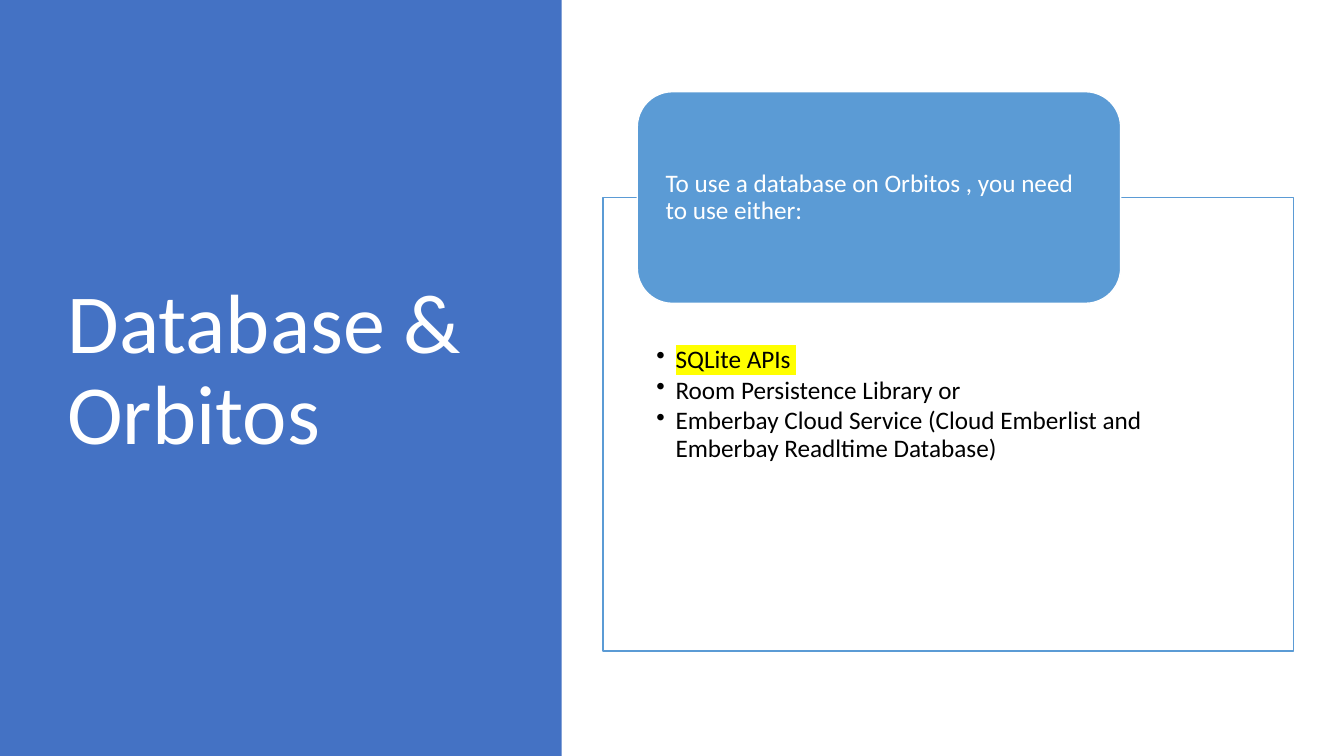
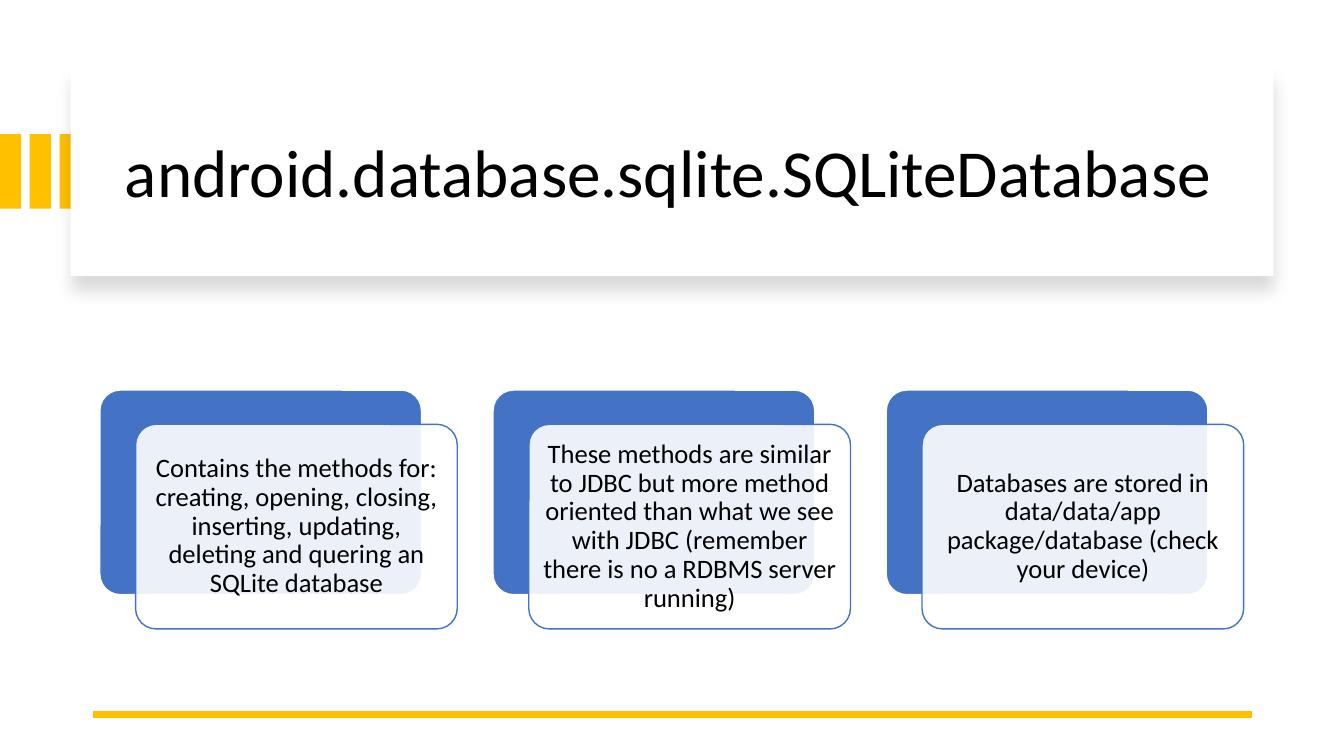
from lxml.etree import SubElement
from pptx import Presentation
from pptx.dml.color import RGBColor
from pptx.enum.shapes import MSO_CONNECTOR, MSO_SHAPE
from pptx.enum.text import MSO_ANCHOR, PP_ALIGN
from pptx.oxml.ns import qn
from pptx.util import Inches, Pt

COLORS = {
    "blue": "4472C4",
    "sky": "5B9BD5",
    "gold": "FFC000",
    "yellow": "FFFF00",
    "white": "FFFFFF",
    "black": "000000",
}
FONT = "Calibri"
VEIL = 90


def rgb(color):
    """Return the named palette colour."""
    return RGBColor.from_string(COLORS[color])


def add_color(parent, color, alpha=None):
    """Append a colour element, optionally with an opacity in percent."""
    element = SubElement(parent, qn("a:srgbClr"), val=COLORS[color])
    if alpha is not None:
        SubElement(element, qn("a:alpha"), val=str(alpha * 1000))


def add_box(slide, kind, box, fill, line=None, alpha=None, radius=None):
    """Draw a filled preset shape without a shadow."""
    shape = slide.shapes.add_shape(kind, *map(Inches, box))
    shape.shadow.inherit = False
    shape.fill.solid()
    shape.fill.fore_color.rgb = rgb(fill)
    if alpha is not None:
        color = shape.fill._xPr.find(qn("a:solidFill"))[0]
        SubElement(color, qn("a:alpha"), val=str(alpha * 1000))
    if line:
        shape.line.color.rgb = rgb(line)
        shape.line.width = Pt(1)
    else:
        shape.line.fill.background()
    if radius is not None:
        shape.adjustments[0] = radius
    return shape


def write(shape, lines, size, color, insets=(0.1, 0.05, 0.1, 0.05),
          anchor=MSO_ANCHOR.MIDDLE, align=PP_ALIGN.LEFT):
    """Fill a shape with paragraphs in the common text style."""
    frame = shape.text_frame
    frame.word_wrap = True
    frame.vertical_anchor = anchor
    (frame.margin_left, frame.margin_top,
     frame.margin_right, frame.margin_bottom) = map(Inches, insets)
    frame.text = "\n".join(lines)
    for paragraph in frame.paragraphs:
        paragraph.alignment = align
        paragraph.line_spacing = 0.9
        paragraph.font.name = FONT
        paragraph.font.size = Pt(size)
        paragraph.font.color.rgb = rgb(color)
    return frame.paragraphs


def add_title(slide, box, text, size, color):
    """Place a slide title, centred vertically in its box."""
    title = slide.shapes.add_textbox(*map(Inches, box))
    write(title, [text], size, color)


def add_bullet(paragraph, indent):
    """Give a paragraph a hanging bullet."""
    properties = paragraph._p.get_or_add_pPr()
    properties.set("marL", str(Inches(indent)))
    properties.set("indent", str(-Inches(indent)))
    bullet = properties.makeelement(qn("a:buChar"), {"char": "•"})
    properties.find(qn("a:defRPr")).addprevious(bullet)


def highlight(run, color):
    """Mark a run with a highlight colour."""
    add_color(SubElement(run._r.get_or_add_rPr(), qn("a:highlight")), color)


def add_soft_shadow(shape):
    """Cast a soft shadow straight down from a shape."""
    effects = shape._element.spPr.find(qn("a:effectLst"))
    shadow = SubElement(effects, qn("a:outerShdw"), blurRad=str(Pt(11)),
                        dist=str(Pt(10)), dir="5400000", algn="t",
                        rotWithShape="0")
    add_color(shadow, "black", 15)


def add_options_panel(slide, box, heading, options):
    """Draw a framed list with a heading tab over its top edge."""
    left, top, width, _ = box
    panel = add_box(slide, MSO_SHAPE.RECTANGLE, box, "white", "sky", VEIL)
    paragraphs = write(panel, options, 18, "black",
                       (0.53, 1.48, 0.53, 0.14), MSO_ANCHOR.TOP)
    for paragraph in paragraphs:
        paragraph.space_after = Pt(2.5)
        add_bullet(paragraph, 0.19)
    highlight(paragraphs[0].runs[0], "yellow")
    tab_height = 2.1
    tab_box = (left + 0.34, top - tab_height / 2, width * 0.7, tab_height)
    tab = add_box(slide, MSO_SHAPE.ROUNDED_RECTANGLE, tab_box, "sky", "white")
    write(tab, [heading], 18, "white", (0.18, 0, 0.18, 0))


def add_title_banner(slide, box, text):
    """Draw gold stripes running under a raised title card."""
    left, top, width, height = box
    for index in range(3):
        stripe = (index * 0.295, top + 0.66, 0.21, 0.74)
        add_box(slide, MSO_SHAPE.RECTANGLE, stripe, "gold")
    add_soft_shadow(add_box(slide, MSO_SHAPE.RECTANGLE, box, "white"))
    title_box = (left + 0.44, top + 0.22, width - 0.8, height - 0.37)
    add_title(slide, title_box, text, 48, "black")


def add_card(slide, box, text):
    """Draw a translucent text card offset over a blue backing."""
    left, top, width, height = box
    front_box = (left + 0.355, top + 0.34, width, height)
    add_box(slide, MSO_SHAPE.ROUNDED_RECTANGLE, box, "blue", "white",
            radius=0.1)
    front = add_box(slide, MSO_SHAPE.ROUNDED_RECTANGLE, front_box, "white",
                    "blue", VEIL, 0.1)
    write(front, [text], 19, "black", (0.08,) * 4, align=PP_ALIGN.CENTER)


def add_rule(slide, left, right, top):
    """Draw the gold line closing the slide."""
    rule = slide.shapes.add_connector(
        MSO_CONNECTOR.STRAIGHT, *map(Inches, (right, top, left, top)))
    rule.line.color.rgb = rgb("gold")
    rule.line.width = Pt(4.5)
    SubElement(rule._element.spPr, qn("a:effectLst"))


def build_options_slide(slide):
    """Build the slide with a title band and a list of options."""
    add_box(slide, MSO_SHAPE.RECTANGLE, (0, 0, 5.57, 7.5), "blue")
    add_title(slide, (0.57, 0.68, 4.16, 6.02), "Database & Orbitos", 60,
              "white")
    add_options_panel(
        slide, (5.98, 1.96, 6.85, 4.5),
        "To use a database on Orbitos , you need to use either:",
        ["SQLite APIs ",
         "Room Persistence Library or",
         "Emberbay Cloud Service (Cloud Emberlist and Emberbay "
         "Readltime Database)"])


def build_class_slide(slide):
    """Build the slide describing the class in three cards."""
    add_title_banner(slide, (0.7, 0.67, 11.93, 2.07),
                     "android.database.sqlite.SQLiteDatabase")
    add_rule(slide, 0.92, 12.42, 7.09)
    cards = [
        "Contains the methods for: creating, opening, closing, inserting, "
        "updating, deleting and quering an SQLite database",
        "These methods are similar to JDBC but more method oriented than "
        "what we see with JDBC (remember there is no a RDBMS server running)",
        "Databases are stored in data/data/app package/database "
        "(check your device)",
    ]
    for index, text in enumerate(cards):
        add_card(slide, (0.99 + index * 3.9, 3.87, 3.19, 2.03), text)


def main():
    """Build and save the presentation."""
    deck = Presentation()
    deck.slide_width = Inches(13.33)
    deck.slide_height = Inches(7.5)
    for build in (build_options_slide, build_class_slide):
        build(deck.slides.add_slide(deck.slide_layouts[6]))
    deck.save("out.pptx")


if __name__ == "__main__":
    main()
